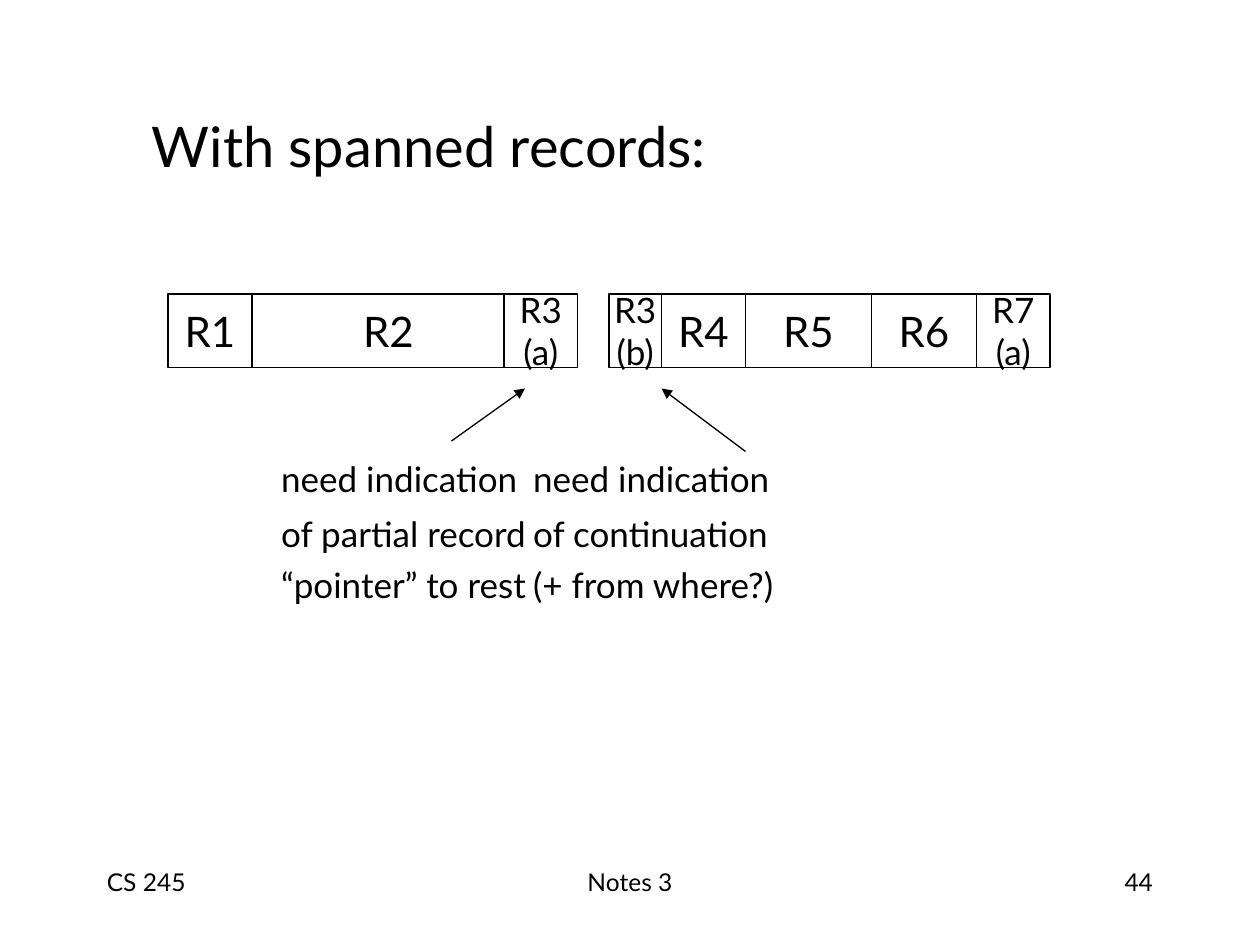
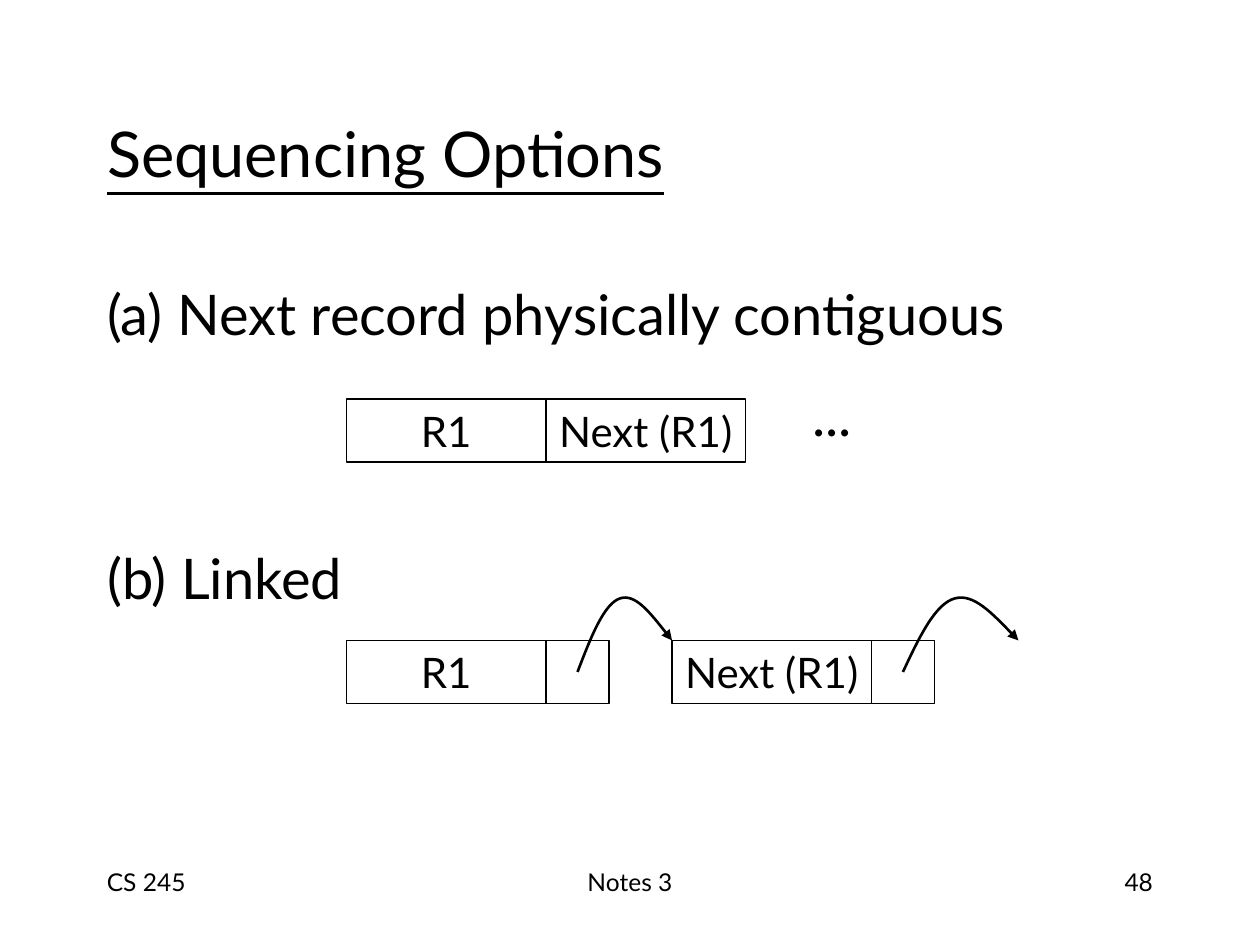
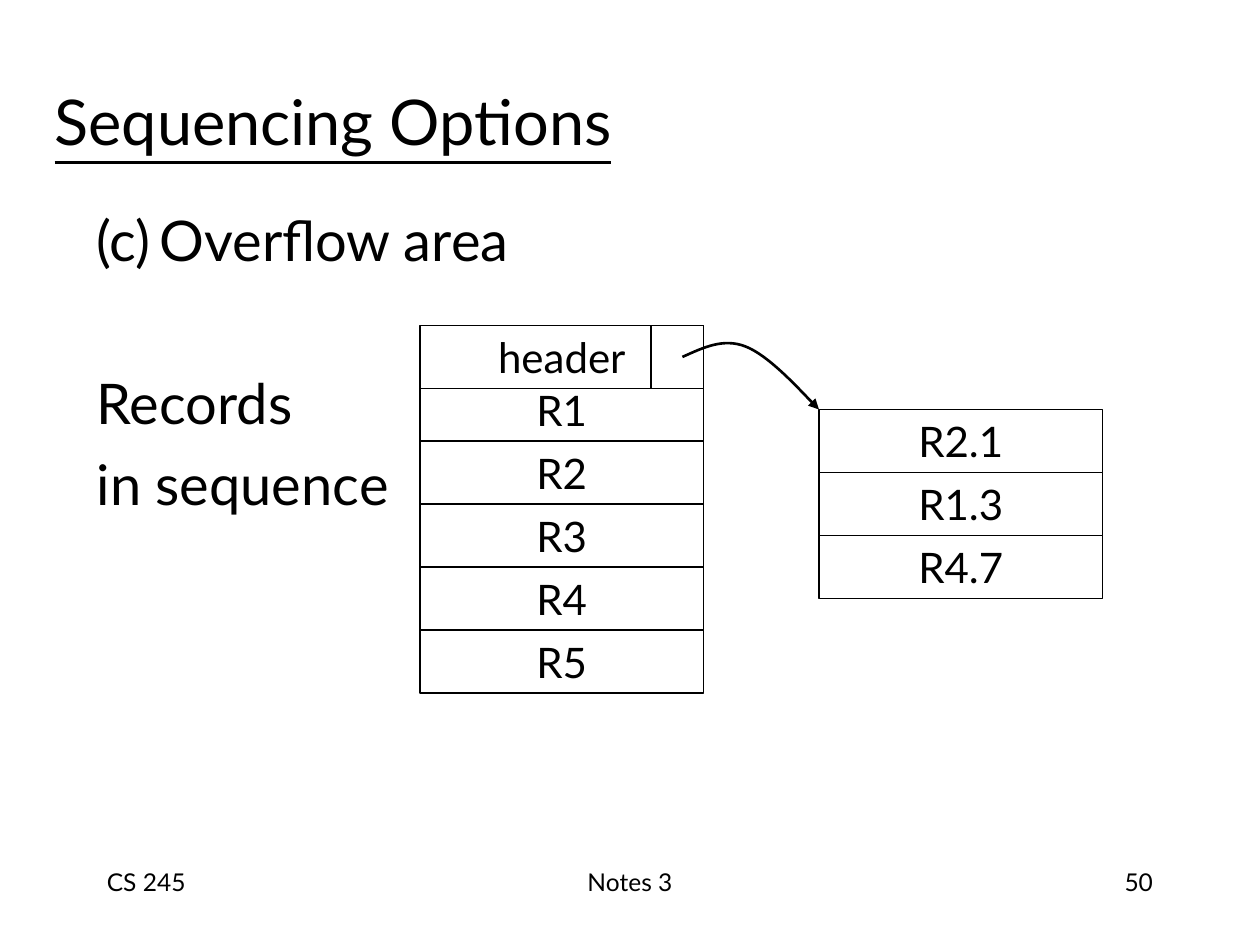
from lxml import etree
from pptx import Presentation
from pptx.dml.color import RGBColor
from pptx.enum.shapes import MSO_CONNECTOR, MSO_SHAPE
from pptx.enum.text import MSO_ANCHOR, MSO_AUTO_SIZE, PP_ALIGN
from pptx.oxml.ns import qn
from pptx.util import Pt

LEFT, CENTER, RIGHT = PP_ALIGN.LEFT, PP_ALIGN.CENTER, PP_ALIGN.RIGHT
MIDDLE, TOP = MSO_ANCHOR.MIDDLE, MSO_ANCHOR.TOP
NO_AUTOFIT = MSO_AUTO_SIZE.NONE
RECTANGLE = MSO_SHAPE.RECTANGLE
STRAIGHT = MSO_CONNECTOR.STRAIGHT

COLORS = {"ink": "000000", "paper": "FFFFFF"}
FONT = "Lato"
TITLE_SIZE, BODY_SIZE, RECORD_SIZE, NOTE_SIZE, FOOTER_SIZE = 36, 32, 24, 20, 14

# Link from one record to the next: share of the span across, points down
LINK_CURVE = [(0, 0), (0.14, -19.7), (0.28, -39.1), (0.45, -42),
              (0.61, -45), (0.81, -31), (1, -18)]


def color(name):
    return RGBColor.from_string(COLORS[name])


def format_text(frame, size, align=LEFT, anchor=TOP, wrap=True, underline=None):
    frame.auto_size = NO_AUTOFIT
    frame.word_wrap = wrap
    frame.vertical_anchor = anchor
    for paragraph in frame.paragraphs:
        paragraph.alignment = align
        for run in paragraph.runs:
            run.font.name = FONT
            run.font.size = Pt(size)
            run.font.color.rgb = color("ink")
            run.font.underline = underline


def place(shape, left, top, width, height):
    shape.left, shape.top = Pt(left), Pt(top)
    shape.width, shape.height = Pt(width), Pt(height)


def add_slide(prs, number):
    """Add a slide with the shared background and footer row."""
    slide = prs.slides.add_slide(prs.slide_layouts[1])
    slide.background.fill.solid()
    slide.background.fill.fore_color.rgb = color("paper")
    footers = [("CS 245", 54, 150, LEFT), ("Notes 3", 246, 228, CENTER),
               (str(number), 516, 150, RIGHT)]
    for text, left, width, align in footers:
        footer = slide.shapes.add_textbox(Pt(left), Pt(492), Pt(width), Pt(36))
        footer.text_frame.text = text
        format_text(footer.text_frame, FOOTER_SIZE, align)
    return slide


def set_title(slide, text, box, size=TITLE_SIZE, align=LEFT, underline=True):
    title = slide.shapes.title
    place(title, *box)
    title.text_frame.text = text
    format_text(title.text_frame, size, align, MIDDLE, underline=underline)


def set_body(slide, lines, box, size=BODY_SIZE, tab=None):
    """Fill the body with (text, space before) lines, without bullets."""
    body = slide.placeholders[1]
    place(body, *box)
    frame = body.text_frame
    frame.text = "\n".join(text for text, _ in lines)
    for paragraph, (_, space_before) in zip(frame.paragraphs, lines):
        properties = paragraph._p.get_or_add_pPr()
        properties.set("marL", "0")
        properties.set("indent", "0")
        etree.SubElement(properties, qn("a:buNone"))
        if tab:
            stops = etree.SubElement(properties, qn("a:tabLst"))
            etree.SubElement(stops, qn("a:tab"), pos=str(Pt(tab)), algn="l")
        paragraph.space_before = Pt(space_before)
    format_text(frame, size)
    return frame


def add_record(slide, label, left, top, width, height=36, size=RECORD_SIZE):
    record = slide.shapes.add_shape(RECTANGLE, Pt(left), Pt(top), Pt(width), Pt(height))
    record.shadow.inherit = False
    record.fill.solid()
    record.fill.fore_color.rgb = color("paper")
    record.line.color.rgb = color("ink")
    record.line.width = Pt(0.75)
    if label:
        record.text_frame.text = label
        format_text(record.text_frame, size, CENTER, MIDDLE, wrap=False)


def add_record_row(slide, left, top, records, height=36):
    """Set (label, width) records side by side; two-line labels are smaller."""
    for label, width in records:
        size = NOTE_SIZE if "\n" in label else RECORD_SIZE
        add_record(slide, label, left, top, width, height, size)
        left += width


def add_record_stack(slide, left, top, labels):
    for row, label in enumerate(labels):
        add_record(slide, label, left, top + 36 * row, 162)


def style_arrow(arrow, width):
    arrow.line.color.rgb = color("ink")
    arrow.line.width = Pt(width)
    etree.SubElement(arrow.line._get_or_add_ln(), qn("a:tailEnd"), type="triangle")


def add_arrow(slide, start, end):
    arrow = slide.shapes.add_connector(STRAIGHT, *map(Pt, start + end))
    style_arrow(arrow, 0.75)
    etree.SubElement(arrow._element.spPr, qn("a:effectLst"))


def add_curved_arrow(slide, points):
    """Draw cubic curves: a start, then two control points and an end each."""
    start, *rest = [(Pt(x), Pt(y)) for x, y in points]
    builder = slide.shapes.build_freeform(*start)
    builder.add_line_segments(rest, close=False)
    arrow = builder.convert_to_shape()
    path = next(arrow._element.iter(qn("a:path")))
    segments = path.findall(qn("a:lnTo"))
    for first in range(0, len(segments), 3):
        curve = etree.SubElement(path, qn("a:cubicBezTo"))
        for segment in segments[first:first + 3]:
            curve.append(segment[0])
            path.remove(segment)
    arrow.shadow.inherit = False
    arrow.fill.background()
    style_arrow(arrow, 1.5)


def add_spanned_records(prs):
    slide = add_slide(prs, 44)
    set_title(slide, "With spanned records:", (68.4, 60, 353.5, 46),
              BODY_SIZE, CENTER, underline=None)
    set_body(slide, [("need indication\tneed indication", 0),
                     ("of partial record\tof continuation", 7.5),
                     ("“pointer” to rest\t(+ from where?)", 5)],
             (153.4, 257.7, 512, 100), NOTE_SIZE, tab=288)
    rows = [(96, [("R1", 48), ("R2", 156)]),
            (288, [("R3\n(a)", 42)]),
            (348, [("R3\n(b)", 30), ("R4", 48), ("R5", 72), ("R6", 60),
                   ("R7\n(a)", 42)])]
    for left, records in rows:
        add_record_row(slide, left, 168, records, height=42)
    add_arrow(slide, (258, 252), (300, 222))
    add_arrow(slide, (426, 258), (378, 222))


def add_contiguous_and_linked(prs):
    slide = add_slide(prs, 48)
    set_title(slide, "Sequencing Options", (54, 48, 612, 78))
    frame = set_body(slide, [("(a) Next record physically contiguous", 0),
                             ("...", 8), ("(b) Linked", 54.4)],
                     (54, 156, 612, 324))
    ellipsis = frame.paragraphs[1]
    ellipsis.line_spacing = 1.3
    ellipsis._p.get_or_add_pPr().set("marL", str(Pt(403)))
    add_record_row(slide, 198, 228, [("R1", 114), ("Next (R1)", 114)])
    for left, label, link_start, span in [(198, "R1", 330, 54),
                                          (384, "Next (R1)", 516, 66)]:
        add_record_row(slide, left, 366, [(label, 114), ("", 36)])
        add_curved_arrow(slide, [(link_start + span * across, 384 + down)
                                 for across, down in LINK_CURVE])


def add_overflow_area(prs):
    slide = add_slide(prs, 50)
    set_title(slide, "Sequencing Options", (24, 30, 612, 78))
    set_body(slide, [("(c)\tOverflow area", 0), ("Records", 54.4), ("in sequence", 8)],
             (48, 114, 612, 324), tab=99)
    add_record_stack(slide, 240, 216, ["R1", "R2", "R3", "R4", "R5"])
    add_record_stack(slide, 240, 186, ["header"])
    add_record_stack(slide, 468, 234, ["R2.1", "R1.3", "R4.7"])
    add_record(slide, "", 372, 186, 30)
    add_curved_arrow(slide, [(390, 204), (401.8, 198.7), (413.3, 193), (426, 198),
                             (439, 203), (462, 228), (468, 234)])


def main():
    prs = Presentation()
    prs.slide_width, prs.slide_height = Pt(720), Pt(540)
    add_spanned_records(prs)
    add_contiguous_and_linked(prs)
    add_overflow_area(prs)
    prs.save("out.pptx")


if __name__ == "__main__":
    main()
